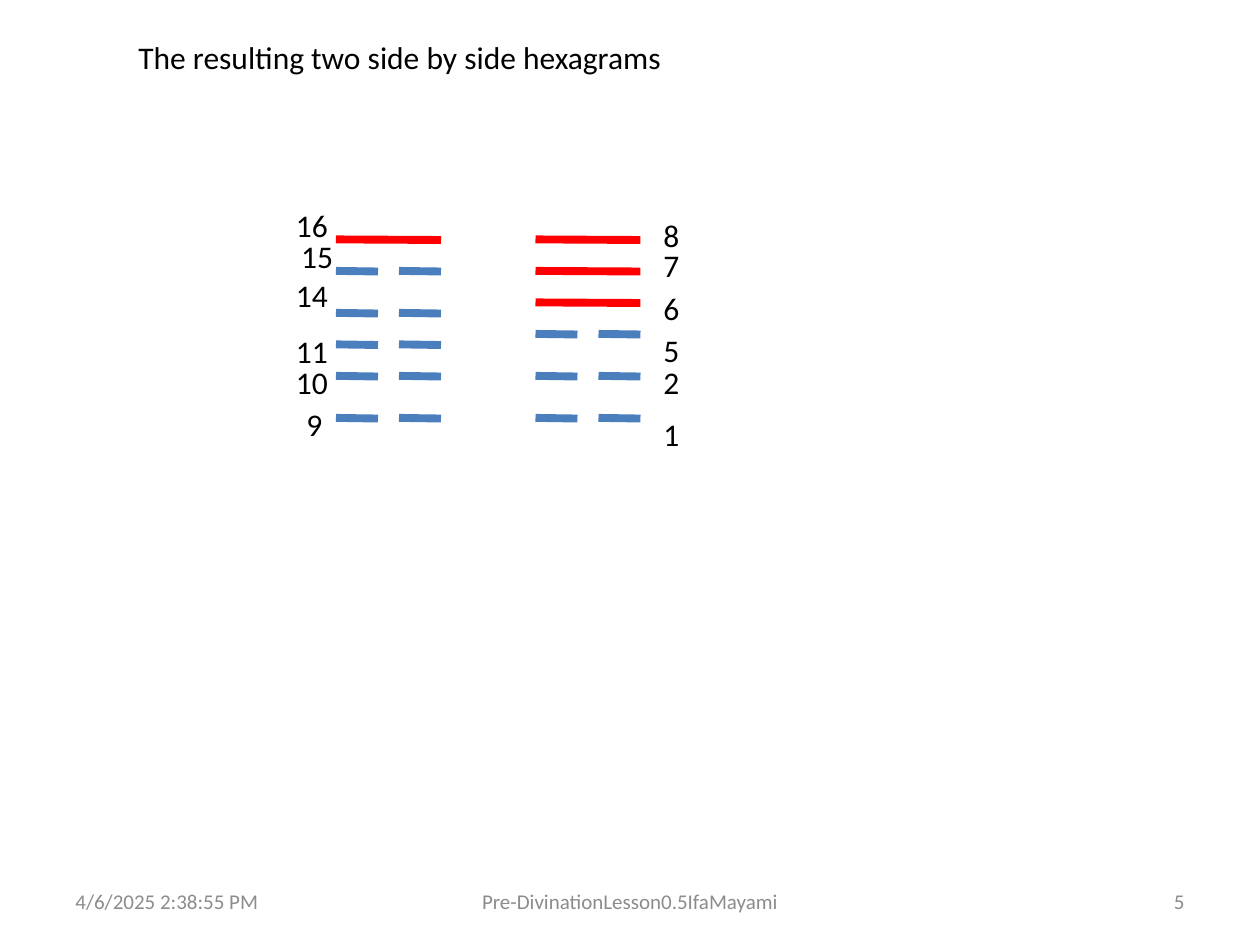
from dataclasses import dataclass

from pptx import Presentation
from pptx import util as u
from pptx.dml.color import RGBColor
from pptx.enum import shapes, text
from pptx.oxml.ns import qn
from lxml import etree


@dataclass(frozen=True)
class Theme:
    font: str = "Calibri"
    ink: str = "000000"
    muted: str = "8C8C8C"
    solid: str = "FF0000"
    broken: str = "4B7EBC"
    body_size: int = 18
    footer_size: int = 12
    stroke: float = 4.5


class HexagramSlide:
    COLUMNS, ROWS = 120, 90
    LABEL_HEIGHT = 4.8
    BAR, GAP = 4, 2
    TILT = 0.06

    def __init__(self, deck, theme):
        self.theme = theme
        self.column = deck.slide_width / self.COLUMNS
        self.row = deck.slide_height / self.ROWS
        self.slide = deck.slides.add_slide(deck.slide_layouts[6])

    def x(self, columns):
        return u.Emu(round(columns * self.column))

    def y(self, rows):
        return u.Emu(round(rows * self.row))

    def add_words(self, words, left, top, width, size, color, align, anchor, wrap):
        box = self.slide.shapes.add_textbox(
            self.x(left), self.y(top), self.x(width), self.y(self.LABEL_HEIGHT))
        frame = box.text_frame
        frame.word_wrap = wrap
        frame.vertical_anchor = anchor
        if not wrap:
            frame.auto_size = text.MSO_AUTO_SIZE.SHAPE_TO_FIT_TEXT
        paragraph = frame.paragraphs[0]
        paragraph.alignment = align
        run = paragraph.add_run()
        run.text = words
        run.font.name = self.theme.font
        run.font.size = u.Pt(size)
        run.font.color.rgb = RGBColor.from_string(color)

    def label(self, words, left, top, width):
        self.add_words(words, left, top, width, self.theme.body_size, self.theme.ink,
                       text.PP_ALIGN.LEFT, text.MSO_ANCHOR.TOP, False)

    def footer(self, words, left, width, align):
        self.add_words(words, left, 83.4, width, self.theme.footer_size,
                       self.theme.muted, align, text.MSO_ANCHOR.MIDDLE, True)

    def bar(self, left, top, width, color):
        line = self.slide.shapes.add_connector(
            shapes.MSO_CONNECTOR.STRAIGHT, self.x(left), self.y(top),
            self.x(left + width), self.y(top + self.TILT))
        line.line.color.rgb = RGBColor.from_string(color)
        line.line.width = u.Pt(self.theme.stroke)
        etree.SubElement(line._element.spPr, qn("a:effectLst"))

    def solid_line(self, left, top):
        self.bar(left, top, 2 * self.BAR + self.GAP, self.theme.solid)

    def broken_line(self, left, top):
        for start in (left, left + self.BAR + self.GAP):
            self.bar(start, top, self.BAR, self.theme.broken)

    def hexagram(self, left, line_rows, solid_count, label_width, labels):
        for index, top in enumerate(line_rows):
            draw = self.solid_line if index < solid_count else self.broken_line
            draw(left, top)
        for number, label_left, label_top in labels:
            self.label(number, label_left, label_top, label_width)


def main():
    deck = Presentation()
    deck.slide_width, deck.slide_height = u.Inches(10), u.Inches(7.5)
    page = HexagramSlide(deck, Theme())

    page.label("The resulting two side by side hexagrams", 12, 3, 52.8)

    first_row = 22.8
    page.hexagram(
        32, [first_row + step for step in (0, 3, 7, 10, 13, 17)], 1, 5.5,
        [("16", 27, 19), ("15", 27.5, 22), ("14", 27, 25.7),
         ("11", 27, 31), ("10", 27, 34), ("9", 28, 38)])
    page.hexagram(
        51, [first_row + step for step in (0, 3, 6, 9, 13, 17)], 3, 4,
        [(number, 62, top) for number, top in
         zip("876521", (20, 22.8, 26.9, 30.9, 34, 38.9))])

    page.footer("4/6/2025 2:38:55 PM", 6, 28, text.PP_ALIGN.LEFT)
    page.footer("Pre-DivinationLesson0.5IfaMayami", 41, 38, text.PP_ALIGN.CENTER)
    page.footer("5", 86, 28, text.PP_ALIGN.RIGHT)

    deck.save("out.pptx")


if __name__ == "__main__":
    main()
